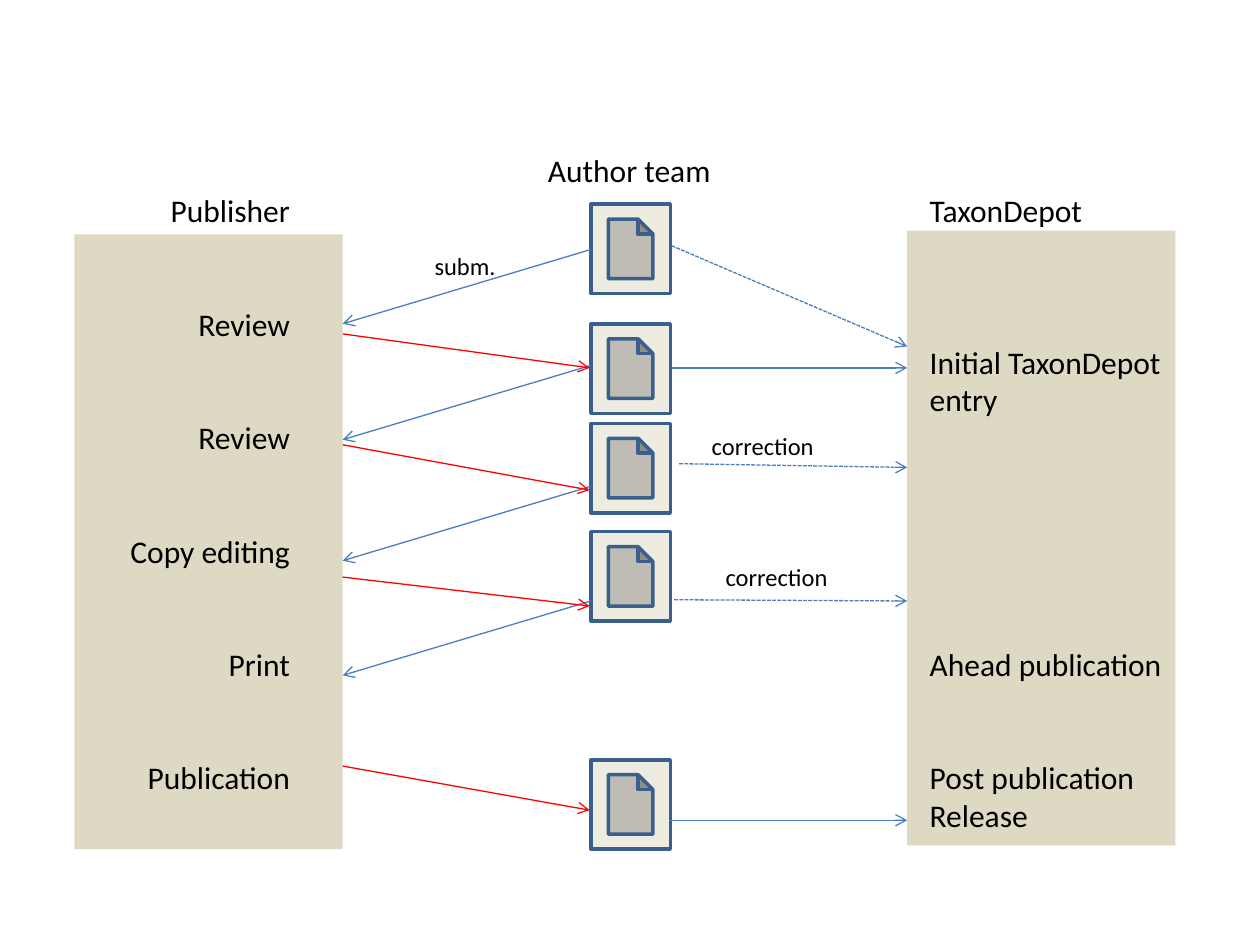
from lxml import etree
from pptx import Presentation
from pptx.dml.color import RGBColor
from pptx.enum.dml import MSO_LINE
from pptx.enum.shapes import MSO_CONNECTOR, MSO_SHAPE
from pptx.enum.text import PP_ALIGN
from pptx.oxml.ns import qn
from pptx.util import Inches, Pt

RECT, DOCUMENT = MSO_SHAPE.RECTANGLE, MSO_SHAPE.ACTION_BUTTON_DOCUMENT
STRAIGHT, DASH = MSO_CONNECTOR.STRAIGHT, MSO_LINE.SQUARE_DOT
LEFT, RIGHT = PP_ALIGN.LEFT, PP_ALIGN.RIGHT

FONT = "Calibri"
COLORS = {"panel": "DDD9C3", "page": "EEECE1", "page_line": "3A5F8C",
          "blue": "4B7EBC", "red": "FF0000", "text": "000000"}

# Content: each step is (empty rows above it, wording)
PUBLISHER_STEPS = [(0, "Publisher"), (2, "Review"), (2, "Review"),
                   (2, "Copy editing"), (2, "Print"), (2, "Publication")]
REGISTRY_STEPS = [(0, "TaxonDepot"), (3, "Initial TaxonDepot entry"),
                  (6, "Ahead publication"), (2, "Post publication"),
                  (0, "Release")]
CAPTIONS = [("Author team", 4.25, 1.15, 1.89, 0.4, 18),
            ("subm.", 3.35, 1.94, 1.18, 0.34, 14),
            ("correction", 5.55, 3.37, 1.18, 0.34, 14),
            ("correction", 5.66, 4.41, 1.18, 0.34, 14)]

# Columns, in inches
PUBLISHER_X, REGISTRY_X, PANEL_W, PANEL_H = 0.59, 7.2, 2.13, 4.88
PUBLISHER_EDGE = PUBLISHER_X + PANEL_W
PAGE_X, PAGE_W, PAGE_H = 4.69, 0.63, 0.71
PAGE_TOPS = [1.62, 2.57, 3.36, 4.22, 6.03]
ROW_PT = 21.6

# Arrows as (start y, end y) between the columns
SUBMISSIONS = [(1.98, 2.57), (2.9, 3.49), (3.86, 4.45), (4.77, 5.36)]
RETURNS = [(2.65, 2.92), (3.53, 3.89), (4.58, 4.81), (6.08, 6.43)]
# To the registry: start x, start y, end y, dashed
DEPOSITS = [(5.33, 2.92, 2.92, False), (5.31, 6.51, 6.51, False),
            (5.33, 1.95, 2.75, True), (5.39, 3.68, 3.71, True),
            (5.35, 4.76, 4.77, True)]


def color(name):
    return RGBColor.from_string(COLORS[name])


def add_block(slide, kind, x, y, w, h, fill, outline=None):
    block = slide.shapes.add_shape(kind, *map(Inches, (x, y, w, h)))
    block.shadow.inherit = False
    block.fill.solid()
    block.fill.fore_color.rgb = color(fill)
    if outline:
        block.line.color.rgb = color(outline)
        block.line.width = Pt(2)
    else:
        block.line.fill.background()


def add_text(slide, steps, x, y, w, h, size=18, align=LEFT):
    frame = slide.shapes.add_textbox(*map(Inches, (x, y, w, h))).text_frame
    frame.word_wrap = True
    frame.text = "\n".join(wording for _, wording in steps)
    for paragraph, (empty_rows, _) in zip(frame.paragraphs, steps):
        paragraph.alignment = align
        paragraph.space_before = Pt(empty_rows * ROW_PT)
        font = paragraph.runs[0].font
        font.name, font.size = FONT, Pt(size)
        font.color.rgb = color("text")


def add_arrow(slide, x1, y1, x2, y2, tint, dashed=False):
    arrow = slide.shapes.add_connector(STRAIGHT, *map(Inches, (x1, y1, x2, y2)))
    arrow.line.color.rgb = color(tint)
    arrow.line.width = Pt(0.75)
    if dashed:
        arrow.line.dash_style = DASH
    properties = arrow._element.spPr
    etree.SubElement(properties.find(qn("a:ln")), qn("a:tailEnd"), type="arrow")
    etree.SubElement(properties, qn("a:effectLst"))


def main():
    deck = Presentation()
    deck.slide_width, deck.slide_height = Inches(10), Inches(7.5)
    slide = deck.slides.add_slide(deck.slide_layouts[6])

    # Side panels with their steps
    add_block(slide, RECT, PUBLISHER_X, 1.86, PANEL_W, PANEL_H, "panel")
    add_text(slide, PUBLISHER_STEPS, 0.67, 1.47, 1.73, 4.95, align=RIGHT)
    add_block(slide, RECT, REGISTRY_X, 1.83, PANEL_W, PANEL_H, "panel")
    add_text(slide, REGISTRY_STEPS, 7.28, 1.47, 2.05, 5.25)

    # Manuscript versions
    for top in PAGE_TOPS:
        add_block(slide, DOCUMENT, PAGE_X, top, PAGE_W, PAGE_H, "page", "page_line")

    # Exchange with the publisher, then deposits in the registry
    for start, end in SUBMISSIONS:
        add_arrow(slide, PAGE_X, start, PUBLISHER_EDGE, end, "blue")
    for start, end in RETURNS:
        add_arrow(slide, PUBLISHER_EDGE, start, PAGE_X - 0.01, end, "red")
    for x, start, end, dashed in DEPOSITS:
        add_arrow(slide, x, start, REGISTRY_X, end, "blue", dashed)

    # Captions
    for wording, x, y, w, h, size in CAPTIONS:
        add_text(slide, [(0, wording)], x, y, w, h, size)

    deck.save("out.pptx")


if __name__ == "__main__":
    main()
